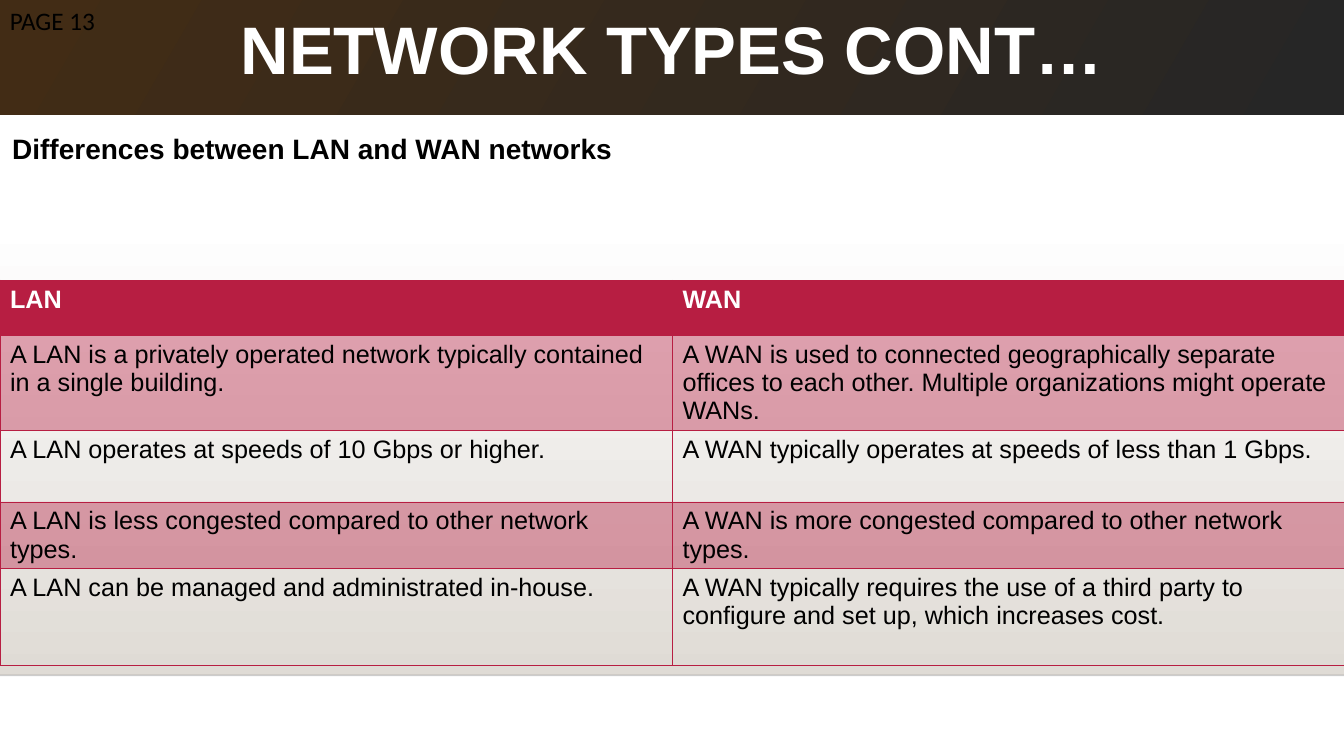
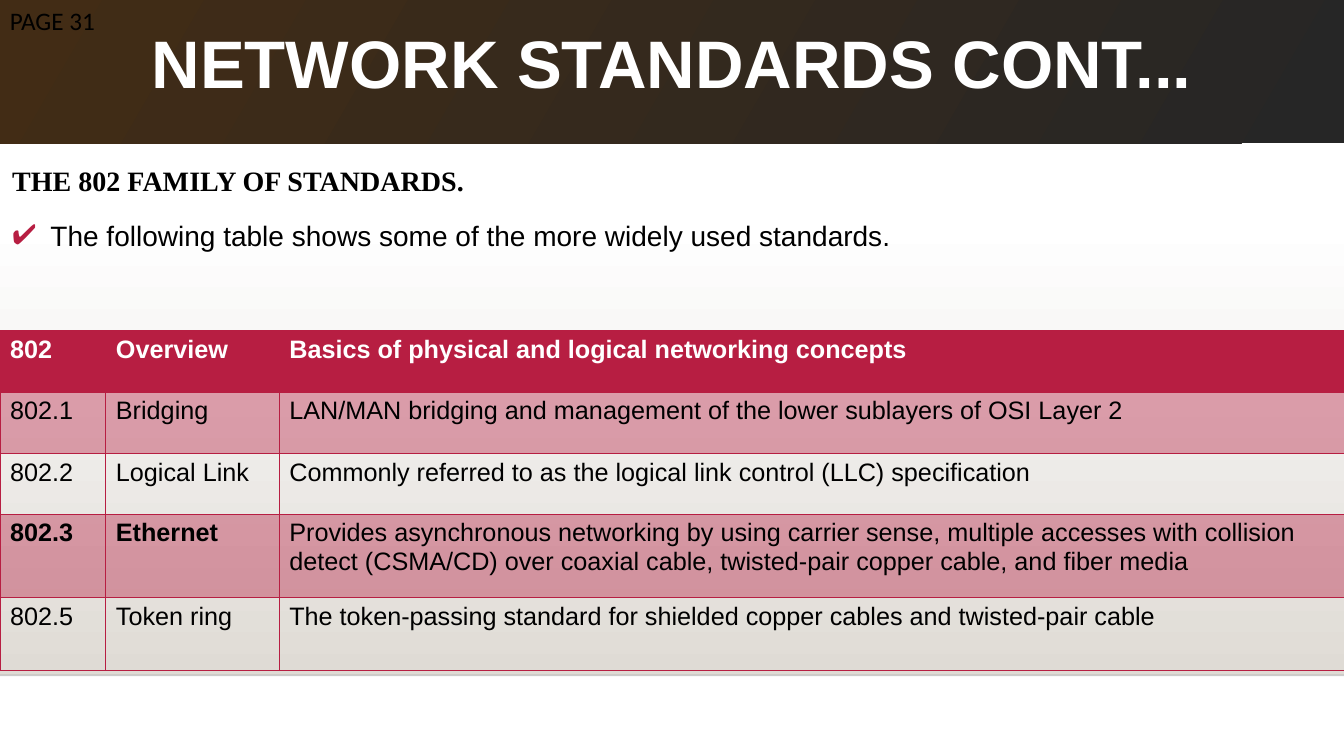
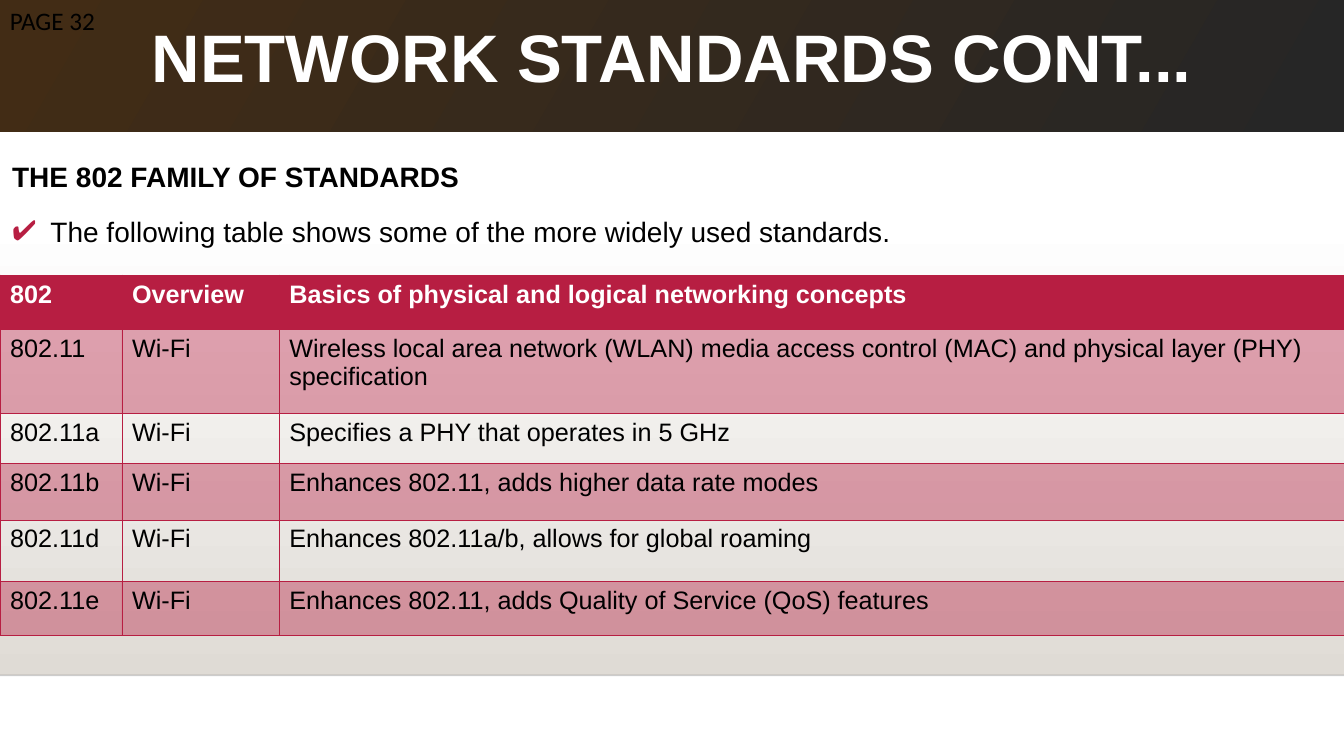
from dataclasses import dataclass

from lxml import etree
from pptx import Presentation, util as u
from pptx.dml.color import RGBColor
from pptx.enum import shapes, text
from pptx.oxml import ns


@dataclass(frozen=True)
class Theme:
    white: str = "FFFFFF"
    black: str = "000000"
    crimson: str = "B71E42"
    sand: str = "DFDBD5"
    charcoal: str = "262626"
    brown: str = "422C15"
    rule: str = "000001"
    sans: str = "Arial"
    serif: str = "Times New Roman"
    label: str = "Calibri"
    title_size: int = 48
    body_size: int = 20
    small_size: int = 18
    width: float = 13.33
    height: float = 7.5


def apply(target, **values):
    for name, value in values.items():
        setattr(target, name, value)


def add_xml(parent, tag, **attributes):
    return etree.SubElement(parent, ns.qn(tag), attributes)


class Deck:
    """Build slides that share one theme, one title band and one lower panel."""

    def __init__(self, theme):
        self.theme = theme
        self.presentation = Presentation()
        apply(self.presentation, slide_width=u.Inches(theme.width),
              slide_height=u.Inches(theme.height))
        self.layout = self.presentation.slide_layouts[1]
        self.slide = None

    def start(self):
        self.slide = self.presentation.slides.add_slide(self.layout)
        if len(self.presentation.slides) == 1:
            self.backdrop()

    def backdrop(self):
        for placeholder in list(self.layout.placeholders)[2:]:
            placeholder.element.getparent().remove(placeholder.element)
        theme = self.theme
        panel = self.slide.shapes.add_shape(
            shapes.MSO_SHAPE.RECTANGLE, 0, u.Inches(2.21),
            u.Inches(theme.width), u.Inches(4.49))
        panel.shadow.inherit = False
        panel.line.fill.background()
        self.gradient(panel, 270, theme.white, theme.sand)
        rule = self.slide.shapes.add_connector(
            shapes.MSO_CONNECTOR.STRAIGHT, 0, u.Inches(6.7),
            u.Inches(theme.width), u.Inches(6.7))
        rule.line.width = u.Pt(1)
        rule.line.color.rgb = RGBColor.from_string(theme.rule)
        self.fade(rule.element, 20)
        add_xml(rule.element.spPr, "a:effectLst")
        for shape in (panel, rule):
            self.layout.shapes.element.append(shape.element)

    def gradient(self, shape, angle, *colors):
        shape.fill.gradient()
        shape.fill.gradient_angle = angle
        for stop, color in zip(shape.fill.gradient_stops, colors):
            stop.color.rgb = RGBColor.from_string(color)

    def fade(self, element, percent):
        color = next(element.iter(ns.qn("a:srgbClr")))
        add_xml(color, "a:alpha", val=str(percent * 1000))

    def place(self, shape, left, top, width, height):
        apply(shape, left=u.Inches(left), top=u.Inches(top),
              width=u.Inches(width), height=u.Inches(height))

    def frame(self, shape, anchor, left, top, right, bottom):
        apply(shape.text_frame, word_wrap=True, vertical_anchor=anchor,
              auto_size=text.MSO_AUTO_SIZE.NONE,
              margin_left=u.Inches(left), margin_top=u.Inches(top),
              margin_right=u.Inches(right), margin_bottom=u.Inches(bottom))

    def add_text(self, paragraph, content, color, name, size, bold=False):
        run = paragraph.add_run()
        run.text = content
        apply(run.font, name=name, size=u.Pt(size), bold=bold)
        run.font.color.rgb = RGBColor.from_string(color)

    def title(self, content, height):
        theme, shape = self.theme, self.slide.shapes.title
        self.place(shape, 0, 0, theme.width, height)
        self.gradient(shape, 150, theme.charcoal, theme.brown)
        self.frame(shape, text.MSO_ANCHOR.MIDDLE, 0.43, 0, 0.43, 0)
        paragraph = shape.text_frame.paragraphs[0]
        apply(paragraph, alignment=text.PP_ALIGN.CENTER, line_spacing=0.7)
        self.add_text(paragraph, content, theme.white, theme.sans, theme.title_size, True)

    def body(self, top, height, inset, heading, point=None, heading_font=None):
        theme, shape = self.theme, self.slide.placeholders[1]
        self.place(shape, 0, top, theme.width, height)
        self.frame(shape, text.MSO_ANCHOR.TOP, 0.12, inset, 0.12, 0.12)
        paragraph = shape.text_frame.paragraphs[0]
        self.body_line(paragraph, heading, heading_font or theme.sans, bold=True)
        if point:
            self.body_line(shape.text_frame.add_paragraph(), point, theme.sans,
                           before=10, bullet="✔")

    def body_line(self, paragraph, content, name, before=0, bullet=None, bold=False):
        theme = self.theme
        apply(paragraph, alignment=text.PP_ALIGN.JUSTIFY, line_spacing=1.2,
              space_before=u.Pt(before))
        properties = paragraph._p.get_or_add_pPr()
        indent = u.Inches(0.38) if bullet else 0
        properties.set("marL", str(indent))
        properties.set("indent", str(-indent))
        if bullet:
            add_xml(add_xml(properties, "a:buClr"), "a:srgbClr", val=theme.crimson)
            add_xml(properties, "a:buChar", char=bullet)
        else:
            add_xml(properties, "a:buNone")
        self.add_text(paragraph, content, theme.black, name, theme.body_size, bold)

    def page(self, number):
        theme = self.theme
        shape = self.slide.shapes.add_textbox(0, 0, u.Inches(1.5), u.Inches(0.4))
        self.frame(shape, text.MSO_ANCHOR.TOP, 0.1, 0.05, 0.1, 0.05)
        self.add_text(shape.text_frame.paragraphs[0], f"PAGE {number}",
                      theme.black, theme.label, theme.small_size)

    def table(self, top, widths, heights, rows, bold_cells=()):
        graphic = self.slide.shapes.add_table(
            len(rows), len(widths), 0, u.Inches(top),
            u.Inches(sum(widths)), u.Inches(sum(heights)))
        table = graphic.table
        apply(table, first_row=False, horz_banding=False)
        for column, width in zip(table.columns, widths):
            column.width = u.Inches(width)
        for row, height in zip(table.rows, heights):
            row.height = u.Inches(height)
        for row_index, row in enumerate(rows):
            for column_index, content in enumerate(row):
                self.cell(table.cell(row_index, column_index), content,
                          row_index, content in bold_cells)

    def cell(self, cell, content, row_index, bold):
        theme = self.theme
        header = row_index == 0
        properties = cell._tc.get_or_add_tcPr()
        for side in ("a:lnL", "a:lnR", "a:lnT", "a:lnB"):
            line = add_xml(properties, side, w=str(u.Pt(0.75)))
            add_xml(add_xml(line, "a:solidFill"), "a:srgbClr", val=theme.crimson)
        if header or row_index % 2:
            cell.fill.solid()
            cell.fill.fore_color.rgb = RGBColor.from_string(theme.crimson)
            if not header:
                self.fade(properties.find(ns.qn("a:solidFill")), 40)
        else:
            cell.fill.background()
        self.add_text(cell.text_frame.paragraphs[0], content,
                      theme.white if header else theme.black,
                      theme.sans, theme.small_size, header or bold)


def main():
    theme = Theme()
    deck = Deck(theme)
    standards_title = "NETWORK STANDARDS CONT..."
    standards_point = "The following table shows some of the more widely used standards."
    standards_header = ("802", "Overview", "Basics of physical and logical networking concepts")

    deck.start()
    deck.title("NETWORK TYPES CONT…", 1.14)
    deck.body(1.14, 0.93, 0.1, "Differences between LAN and WAN networks")
    deck.page(13)
    deck.table(2.78, (6.67, 6.67), (0.55, 0.88, 0.71, 0.62, 0.96), (
        ("LAN", "WAN"),
        ("A LAN is a privately operated network typically contained in a single building.",
         "A WAN is used to connected geographically separate offices to each other. "
         "Multiple organizations might operate WANs."),
        ("A LAN operates at speeds of 10 Gbps or higher.",
         "A WAN typically operates at speeds of less than 1 Gbps."),
        ("A LAN is less congested compared to other network types.",
         "A WAN is more congested compared to other network types."),
        ("A LAN can be managed and administrated in-house.",
         "A WAN typically requires the use of a third party to configure and set up, "
         "which increases cost."),
    ))

    deck.start()
    deck.title(standards_title, 1.42)
    deck.body(1.42, 1.54, 0.14, "THE 802 FAMILY OF STANDARDS.", standards_point, theme.serif)
    deck.page(31)
    deck.table(3.28, (1.05, 1.72, 10.56), (0.61, 0.61, 0.6, 0.83, 0.72), (
        standards_header,
        ("802.1", "Bridging",
         "LAN/MAN bridging and management of the lower sublayers of OSI Layer 2"),
        ("802.2", "Logical Link",
         "Commonly referred to as the logical link control (LLC) specification"),
        ("802.3", "Ethernet",
         "Provides asynchronous networking by using carrier sense, multiple accesses with "
         "collision detect (CSMA/CD) over coaxial cable, twisted-pair copper cable, "
         "and fiber media"),
        ("802.5", "Token ring",
         "The token-passing standard for shielded copper cables and twisted-pair cable"),
    ), bold_cells=("802.3", "Ethernet"))

    deck.start()
    deck.title(standards_title, 1.31)
    deck.body(1.31, 1.22, 0.21, "THE 802 FAMILY OF STANDARDS", standards_point)
    deck.page(32)
    wireless = (
        ("802.11", "Wireless local area network (WLAN) media access control (MAC) "
                   "and physical layer (PHY) specification"),
        ("802.11a", "Specifies a PHY that operates in 5 GHz"),
        ("802.11b", "Enhances 802.11, adds higher data rate modes"),
        ("802.11d", "Enhances 802.11a/b, allows for global roaming"),
        ("802.11e", "Enhances 802.11, adds Quality of Service (QoS) features"),
    )
    deck.table(2.73, (1.21, 1.56, 10.56), (0.54, 0.83, 0.5, 0.56, 0.61, 0.53),
               (standards_header, *((code, "Wi-Fi", summary) for code, summary in wireless)))

    deck.presentation.save("out.pptx")


if __name__ == "__main__":
    main()
